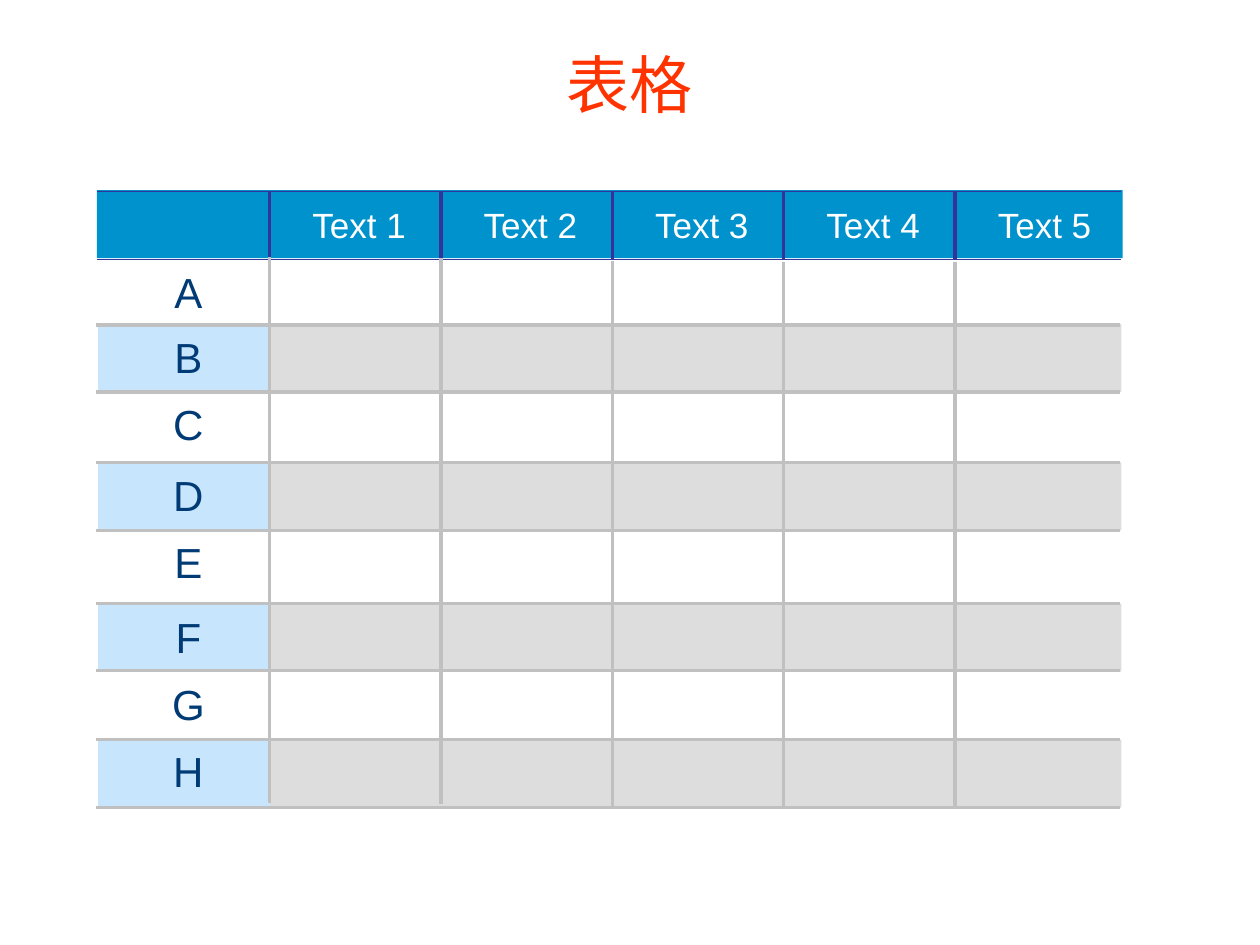
from pptx import Presentation
from pptx.dml.color import RGBColor
from pptx.enum.shapes import MSO_CONNECTOR, MSO_SHAPE
from pptx.enum.text import MSO_ANCHOR, PP_ALIGN
from pptx.oxml.ns import qn
from pptx.util import Inches, Pt
from lxml.etree import SubElement

WHITE = RGBColor(0xFF, 0xFF, 0xFF)
GRAY = RGBColor(0xDD, 0xDD, 0xDD)
SILVER = RGBColor(0xC0, 0xC0, 0xC0)
BLUE = RGBColor(0x00, 0x92, 0xCC)
PALE_BLUE = RGBColor(0xC7, 0xE6, 0xFD)
NAVY = RGBColor(0x00, 0x3B, 0x76)
INDIGO = RGBColor(0x33, 0x33, 0x99)
ORANGE = RGBColor(0xFF, 0x33, 0x00)

ROW_HEIGHT = 0.54
COLUMN_WIDTH = 1.36
HEADER_TOP = 1.52
GRID_LEFT, GRID_RIGHT = 0.76, 8.89
COLUMN_TOPS = [2.04, 2.05, 2.07, 2.08, 2.08]
GRID_HEIGHT = 4.33
PLAIN_TOPS = [3.13, 5.33]
SHADED_TOPS = [2.57, 3.67, 4.79, 5.87]
ROW_RULES = [2.58, 3.11, 3.67, 4.21, 4.79, 5.32, 5.87, 6.41]
LABEL_TOPS = [2.1, 2.62, 3.15, 3.71, 4.24, 4.84, 5.37, 5.9]


def write(frame, text, size=20, color=WHITE, font="Arial", align=PP_ALIGN.CENTER):
    paragraph = frame.paragraphs[0]
    paragraph.alignment = align
    run = paragraph.add_run()
    run.text = text
    run.font.name = font
    run.font.size = Pt(size)
    run.font.color.rgb = color


class GridSlide:
    def __init__(self, presentation):
        self.slide = presentation.slides.add_slide(presentation.slide_layouts[6])

    def band(self, left, top, width, color):
        band = self.slide.shapes.add_shape(
            MSO_SHAPE.RECTANGLE,
            Inches(left), Inches(top), Inches(width), Inches(ROW_HEIGHT))
        band.shadow.inherit = False
        band.fill.solid()
        band.fill.fore_color.rgb = color
        band.line.fill.background()

    def rule(self, start, end, color=SILVER, weight=0):
        points = [Inches(value) for value in (*start, *end)]
        rule = self.slide.shapes.add_connector(MSO_CONNECTOR.STRAIGHT, *points)
        rule.line.color.rgb = color
        rule.line.width = Pt(weight)
        SubElement(rule._element.spPr, qn("a:effectLst"))

    def text(self, left, top, width, height, text, **style):
        box = self.slide.shapes.add_textbox(
            Inches(left), Inches(top), Inches(width), Inches(height))
        frame = box.text_frame
        frame.word_wrap = True
        frame.vertical_anchor = MSO_ANCHOR.MIDDLE
        write(frame, text, **style)


def main():
    presentation = Presentation()
    presentation.slide_width = Inches(10)
    presentation.slide_height = Inches(7.5)
    grid = GridSlide(presentation)
    column_edges = [round(2.14 + COLUMN_WIDTH * i, 2) for i in range(5)]

    for top in PLAIN_TOPS:
        grid.band(0.75, top, 8.16, WHITE)
    for top in SHADED_TOPS:
        grid.band(2.11, top, 6.79, GRAY)
        grid.band(0.78, top, COLUMN_WIDTH, PALE_BLUE)

    grid.band(0.77, 1.51, 8.14, BLUE)
    for top, weight in [(HEADER_TOP, 1), (HEADER_TOP + ROW_HEIGHT, 0.75)]:
        grid.rule((0.77, top), (8.9, top), INDIGO, weight)
    for number, edge in enumerate(column_edges, start=1):
        grid.rule((edge, HEADER_TOP), (edge, HEADER_TOP + ROW_HEIGHT), INDIGO)
        grid.text(edge + 0.17, 1.57, 1.08, 0.43, f"Text {number}")

    for letter, top in zip("ABCDEFGH", LABEL_TOPS):
        grid.text(1.24, top, 0.51, 0.43, letter, size=24, color=NAVY)
    for top in ROW_RULES:
        grid.rule((GRID_LEFT, top), (GRID_RIGHT, top))
    for edge, top in zip(column_edges, COLUMN_TOPS):
        grid.rule((edge, top), (edge, top + GRID_HEIGHT))

    grid.text(0, 0.25, 10, 0.83, "表格", size=36, color=ORANGE)
    presentation.save("out.pptx")


if __name__ == "__main__":
    main()
